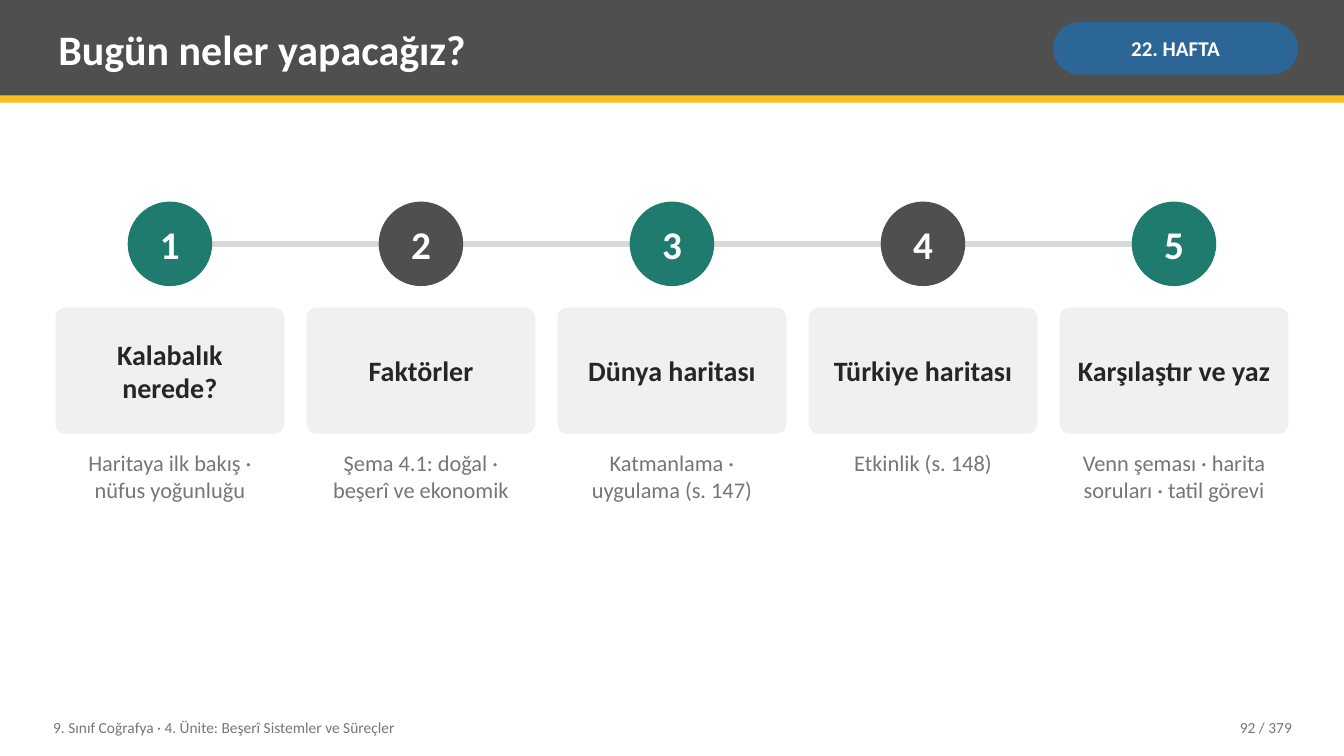
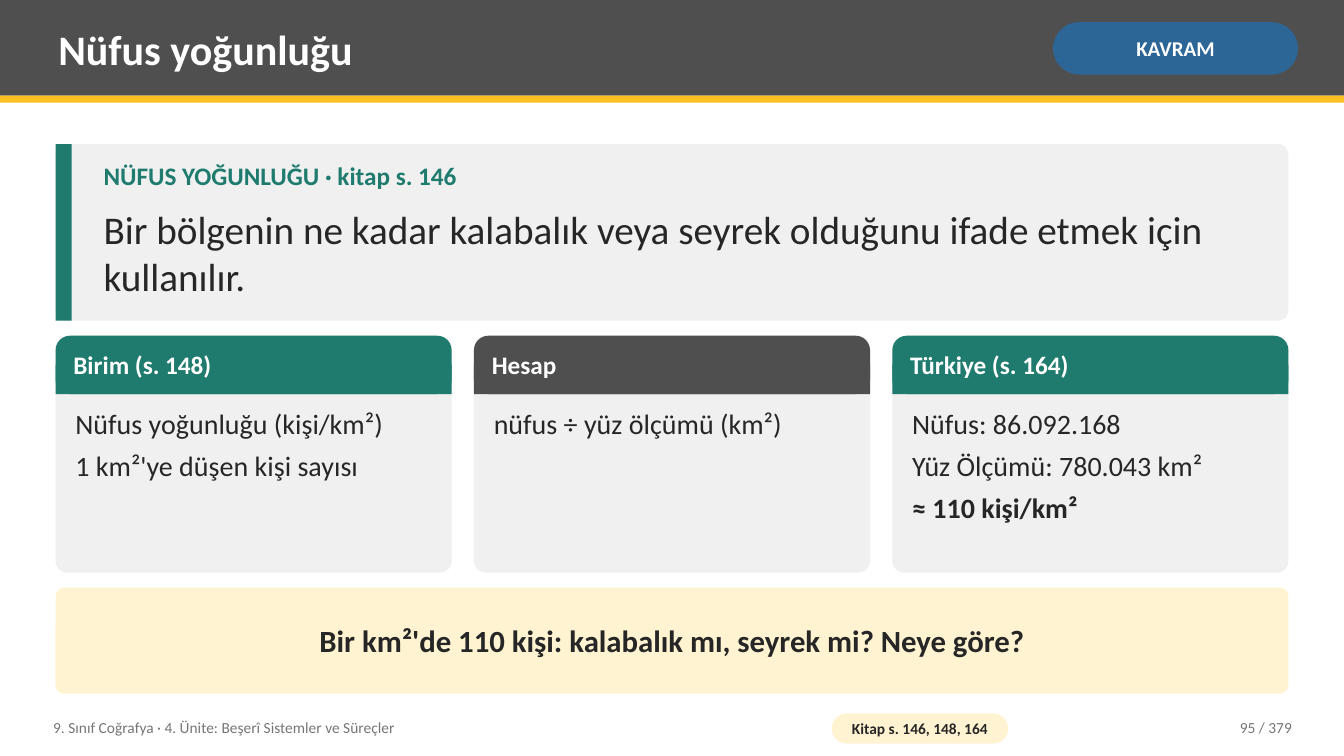
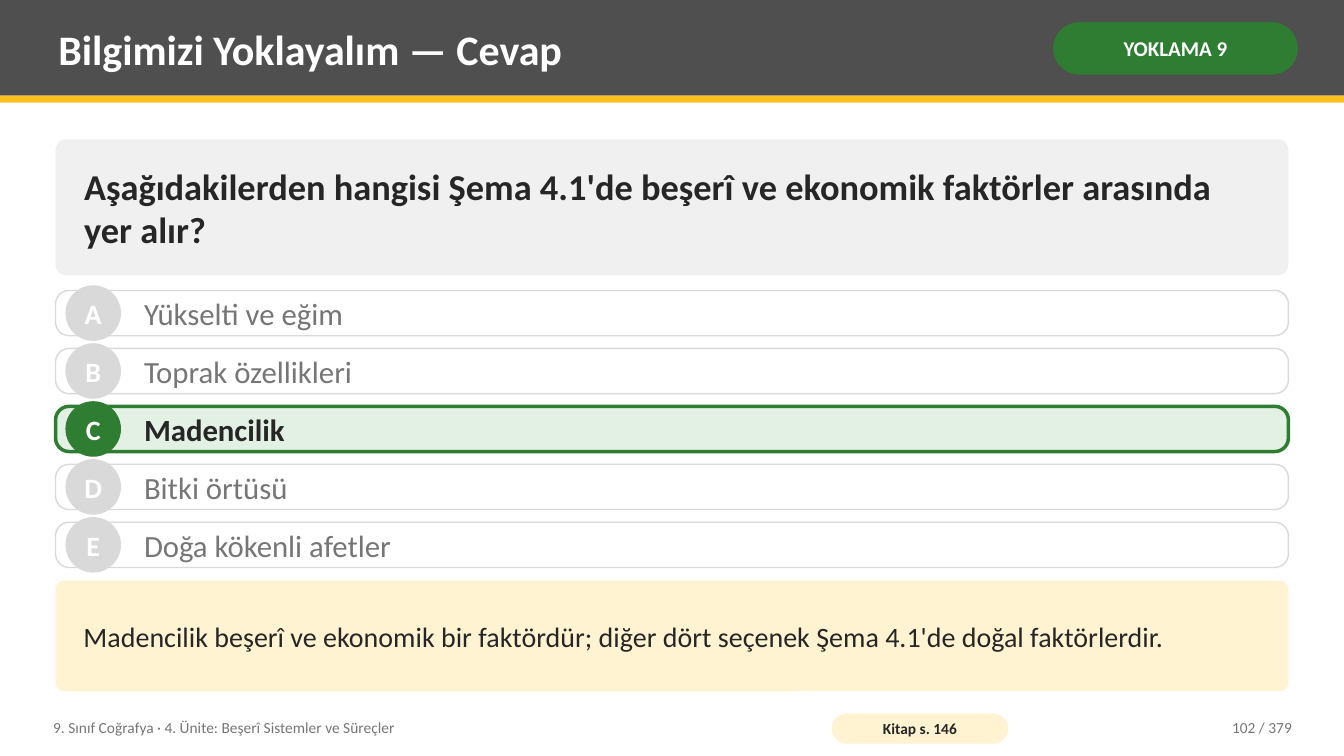
from lxml import etree
from pptx import Presentation
from pptx import util as u
from pptx.dml.color import RGBColor
from pptx.enum import shapes, text
from pptx.oxml.ns import qn

Cm = u.Cm
RECT = shapes.MSO_SHAPE.RECTANGLE
ROUND = shapes.MSO_SHAPE.ROUNDED_RECTANGLE
OVAL = shapes.MSO_SHAPE.OVAL
LEFT, CENTER, RIGHT = text.PP_ALIGN.LEFT, text.PP_ALIGN.CENTER, text.PP_ALIGN.RIGHT
TOP, MIDDLE = text.MSO_ANCHOR.TOP, text.MSO_ANCHOR.MIDDLE


def rgb(value):
    return RGBColor.from_string(value)


def write(tf, lines, size=20, color="262626", bold=False, align=LEFT, anchor=MIDDLE,
          pad=(0.2, 0.1), wrap=True, after=0, bold_last=False):
    """Fill a text frame with one paragraph per line."""
    lines = [lines] if isinstance(lines, str) else lines
    tf.word_wrap = wrap
    tf.auto_size = text.MSO_AUTO_SIZE.NONE
    tf.vertical_anchor = anchor
    tf.margin_left = tf.margin_right = Cm(pad[0])
    tf.margin_top = tf.margin_bottom = Cm(pad[1])
    for i, line in enumerate(lines):
        last = i == len(lines) - 1
        p = tf.add_paragraph() if i else tf.paragraphs[0]
        p.alignment = align
        p.space_after = u.Pt(0 if last else after)
        r = p.add_run()
        r.text = line
        r.font.name = Deck.FONT
        r.font.size = u.Pt(size)
        r.font.bold = bold or (bold_last and last)
        r.font.color.rgb = rgb(color)


class Deck:
    FONT = "Calibri"
    WHITE, INK, MUTED = "FFFFFF", "262626", "767676"
    DARK, TEAL, BLUE, GREEN = "4F4F4F", "1E7B6E", "2C6696", "2E7D32"
    YELLOW, CREAM, MINT = "FCC021", "FFF3D1", "E3F1E4"
    PANEL, RULE = "F0F0F0", "D9D9D9"
    WIDTH, HEIGHT = 33.87, 19.05
    X, W, GAP = 1.4, 31.07, 0.56
    UNIT = "9. Sınıf Coğrafya · 4. Ünite: Beşerî Sistemler ve Süreçler"
    TOTAL = 379

    def __init__(self):
        self.prs = Presentation()
        self.prs.slide_width, self.prs.slide_height = Cm(self.WIDTH), Cm(self.HEIGHT)
        self.s = None

    def columns(self, count):
        """Left edges and common width of equal columns."""
        w = (self.W - self.GAP * (count - 1)) / count
        return [self.X + i * (w + self.GAP) for i in range(count)], w

    def shape(self, kind, x, y, w, h, fill, line=None, weight=1, radius=None,
              label=None, **fmt):
        sp = self.s.shapes.add_shape(kind, Cm(x), Cm(y), Cm(w), Cm(h))
        sp.shadow.inherit = False
        sp.fill.solid()
        sp.fill.fore_color.rgb = rgb(fill)
        if line:
            sp.line.color.rgb = rgb(line)
            sp.line.width = u.Pt(weight)
        else:
            sp.line.fill.background()
        if radius is not None:
            sp.adjustments[0] = radius
        if label:
            write(sp.text_frame, label, **fmt)

    def panel(self, x, y, w, h, fill, radius=0.08, **fmt):
        self.shape(ROUND, x, y, w, h, fill, radius=radius, **fmt)

    def disc(self, x, y, d, fill, label, size):
        self.shape(OVAL, x, y, d, d, fill, label=label, size=size, color=self.WHITE,
                   bold=True, align=CENTER, pad=(0, 0), wrap=False)

    def label(self, x, y, w, h, lines, **fmt):
        box = self.s.shapes.add_textbox(Cm(x), Cm(y), Cm(w), Cm(h))
        write(box.text_frame, lines, **fmt)

    def line(self, x1, y1, x2, y2, color, weight):
        c = self.s.shapes.add_connector(shapes.MSO_CONNECTOR.STRAIGHT,
                                        Cm(x1), Cm(y1), Cm(x2), Cm(y2))
        c.line.color.rgb = rgb(color)
        c.line.width = u.Pt(weight)
        etree.SubElement(c._element.spPr, qn("a:effectLst"))

    def slide(self, title, badge, page, badge_fill=BLUE, source=None):
        self.s = self.prs.slides.add_slide(self.prs.slide_layouts[5])
        # Header band, with the title in front of it
        self.shape(RECT, 0, 0, self.WIDTH, 2.41, self.DARK)
        self.shape(RECT, 0, 2.41, self.WIDTH, 0.18, self.YELLOW)
        sp = self.s.shapes.title
        sp.left, sp.top, sp.width, sp.height = Cm(1.27), Cm(0.18), Cm(24.77), Cm(2.08)
        write(sp.text_frame, title, size=30, color=self.WHITE, bold=True)
        self.s.shapes._spTree.append(sp._element)
        self.panel(26.54, 0.56, 6.17, 1.32, badge_fill, radius=0.5, label=badge, size=15,
                   color=self.WHITE, bold=True, align=CENTER, pad=(0.13, 0.05))
        # Footer
        self.label(1.14, 17.88, 19.3, 0.91, self.UNIT, size=11, color=self.MUTED)
        if source:
            self.panel(20.96, 17.98, 4.45, 0.76, self.CREAM, radius=0.5, label=source,
                       size=11, bold=True, align=CENTER, pad=(0.1, 0))
        self.label(28.7, 17.88, 4.06, 0.91, f"{page} / {self.TOTAL}", size=11,
                   color=self.MUTED, align=RIGHT)

    def step(self, x, w, number, heading, note, fill):
        d = 2.13
        self.disc(x + (w - d) / 2, 5.08, d, fill, str(number), 28)
        self.panel(x, 7.75, w, 3.18, self.PANEL, label=heading, bold=True,
                   align=CENTER, pad=(0.2, 0.2))
        self.label(x, 11.23, w, 4.83, note, size=16, color=self.MUTED,
                   align=CENTER, anchor=TOP)

    def card(self, x, y, w, h, heading, lines, fill, **fmt):
        head = 1.47
        self.panel(x, y, w, h, self.PANEL, radius=0.05)
        self.panel(x, y, w, head, fill, radius=0.25)
        self.shape(RECT, x, y + head / 2, w, head / 2, fill)
        self.label(x + 0.25, y, w - 0.5, head, heading, size=18, color=self.WHITE, bold=True)
        self.label(x + 0.3, y + 1.68, w - 0.6, h - 1.88, lines, anchor=TOP, after=6, **fmt)

    def option(self, y, letter, answer, correct):
        h, d = 1.14, 1.4
        accent = self.GREEN if correct else self.RULE
        self.panel(self.X, y, self.W, h, self.MINT if correct else self.WHITE, radius=0.3,
                   line=accent, weight=2.5 if correct else 1)
        self.disc(self.X + 0.25, y + (h - d) / 2, d, accent, letter, 20)
        self.label(3.43, y, 28.52, h, answer, size=22, bold=correct,
                   color=self.INK if correct else self.MUTED)


def agenda(deck):
    deck.slide("Bugün neler yapacağız?", "22. HAFTA", 92)
    steps = [
        ("Kalabalık nerede?", "Haritaya ilk bakış · nüfus yoğunluğu"),
        ("Faktörler", "Şema 4.1: doğal · beşerî ve ekonomik"),
        ("Dünya haritası", "Katmanlama · uygulama (s. 147)"),
        ("Türkiye haritası", "Etkinlik (s. 148)"),
        ("Karşılaştır ve yaz", "Venn şeması · harita soruları · tatil görevi"),
    ]
    xs, w = deck.columns(len(steps))
    deck.line(xs[0] + w / 2, 6.15, xs[-1] + w / 2, 6.15, deck.RULE, 4)
    for i, (x, (heading, note)) in enumerate(zip(xs, steps)):
        deck.step(x, w, i + 1, heading, note, deck.DARK if i % 2 else deck.TEAL)


def concept(deck):
    deck.slide("Nüfus yoğunluğu", "KAVRAM", 95, source="Kitap s. 146, 148, 164")
    # Definition
    deck.panel(deck.X, 3.63, deck.W, 4.45, deck.PANEL, radius=0.06)
    deck.shape(RECT, deck.X, 3.63, 0.41, 4.45, deck.TEAL)
    deck.label(2.41, 3.94, 29.54, 1.14, "NÜFUS YOĞUNLUĞU · kitap s. 146", size=18,
               color=deck.TEAL, bold=True, anchor=TOP)
    deck.label(2.41, 5.03, 29.54, 2.67, "Bir bölgenin ne kadar kalabalık veya seyrek "
               "olduğunu ifade etmek için kullanılır.", size=28)
    # Cards
    cards = [
        ("Birim (s. 148)", ["Nüfus yoğunluğu (kişi/km²)", "1 km²'ye düşen kişi sayısı"], False),
        ("Hesap", ["nüfus ÷ yüz ölçümü (km²)"], False),
        ("Türkiye (s. 164)",
         ["Nüfus: 86.092.168", "Yüz Ölçümü: 780.043 km²", "≈ 110 kişi/km²"], True),
    ]
    xs, w = deck.columns(len(cards))
    for i, (x, (heading, lines, result)) in enumerate(zip(xs, cards)):
        deck.card(x, 8.46, w, 5.97, heading, lines, deck.DARK if i % 2 else deck.TEAL,
                  bold_last=result)
    # Discussion question
    deck.panel(deck.X, 14.81, deck.W, 2.67, deck.CREAM, size=22, bold=True, align=CENTER,
               pad=(0.36, 0.2),
               label="Bir km²'de 110 kişi: kalabalık mı, seyrek mi? Neye göre?")


def quiz_answer(deck):
    deck.slide("Bilgimizi Yoklayalım — Cevap", "YOKLAMA 9", 102, badge_fill=deck.GREEN,
               source="Kitap s. 146")
    deck.panel(deck.X, 3.51, deck.W, 3.43, deck.PANEL, size=26, bold=True, pad=(0.64, 0.2),
               label="Aşağıdakilerden hangisi Şema 4.1'de beşerî ve ekonomik faktörler "
                     "arasında yer alır?")
    options = ["Yükselti ve eğim", "Toprak özellikleri", "Madencilik", "Bitki örtüsü",
               "Doğa kökenli afetler"]
    for i, (letter, answer) in enumerate(zip("ABCDE", options)):
        deck.option(7.32 + i * 1.46, letter, answer, letter == "C")
    deck.panel(deck.X, 14.63, deck.W, 2.79, deck.CREAM, pad=(0.64, 0.2),
               label="Madencilik beşerî ve ekonomik bir faktördür; diğer dört seçenek "
                     "Şema 4.1'de doğal faktörlerdir.")


def main():
    deck = Deck()
    agenda(deck)
    concept(deck)
    quiz_answer(deck)
    deck.prs.save("out.pptx")


if __name__ == "__main__":
    main()
